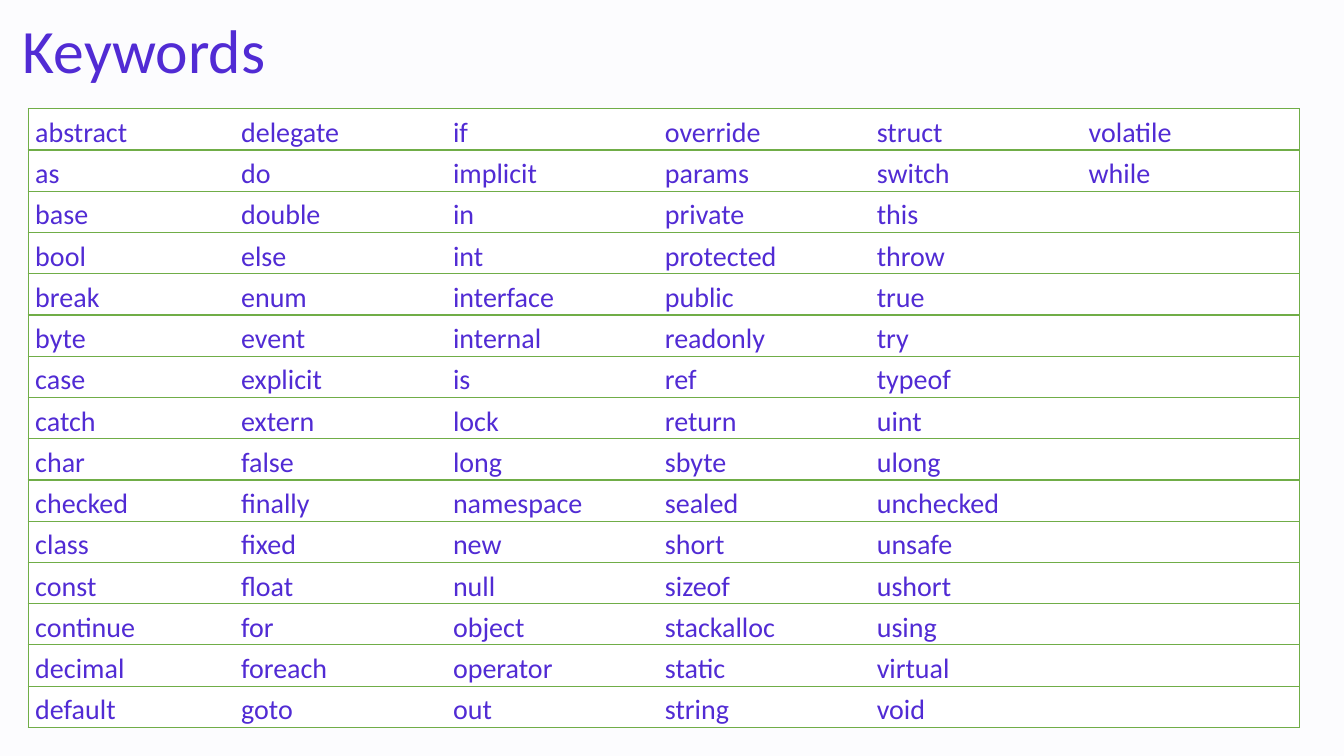
from dataclasses import dataclass

from lxml import etree
from pptx import Presentation
from pptx import util as u
from pptx.dml.color import RGBColor
from pptx.enum import text
from pptx.oxml import ns


@dataclass(frozen=True)
class Theme:
    font: str = "Calibri"
    ink: str = "512BD4"
    rule: str = "70AD47"
    cell: str = "FFFFFF"
    background: str = "FCFCFE"
    title_size: int = 44
    keyword_size: int = 20
    rule_width: int = 1


THEME = Theme()
NO_STYLE = "{2D5ABB26-0587-4C30-8999-92F81FD0307C}"
ROWS, COLS = 15, 6

# Keywords in alphabetical order, filling the table column by column
KEYWORDS = """
abstract as base bool break byte case catch char checked class const continue
decimal default delegate do double else enum event explicit extern false finally
fixed float for foreach goto if implicit in int interface internal is lock long
namespace new null object operator out override params private protected public
readonly ref return sbyte sealed short sizeof stackalloc static string struct
switch this throw true try typeof uint ulong unchecked unsafe ushort using
virtual void volatile while
""".split()


def set_all(obj, values):
    for name, value in values.items():
        setattr(obj, name, value)


def add_text(p, words, size):
    r = p.add_run()
    r.text = words
    set_all(r.font, {"name": THEME.font, "size": u.Pt(size)})
    r.font.color.rgb = RGBColor.from_string(THEME.ink)


def add_title(s, words, left, top, width, height):
    tf = s.shapes.add_textbox(*map(u.Inches, (left, top, width, height))).text_frame
    set_all(tf, {"word_wrap": True, "vertical_anchor": text.MSO_ANCHOR.MIDDLE})
    p = tf.paragraphs[0]
    p.line_spacing = 0.9
    add_text(p, words, THEME.title_size)


def add_border(cell, side):
    tc_pr = cell._tc.get_or_add_tcPr()
    ln = etree.SubElement(tc_pr, ns.qn(f"a:ln{side}"), w=str(u.Pt(THEME.rule_width)))
    fill = etree.SubElement(ln, ns.qn("a:solidFill"))
    etree.SubElement(fill, ns.qn("a:srgbClr"), val=THEME.rule)


def format_cell(cell, col):
    # Only the outer columns have side borders; every row is ruled
    sides = ("L" if col == 0 else "") + ("R" if col == COLS - 1 else "") + "TB"
    for side in sides:
        add_border(cell, side)
    cell.fill.solid()
    cell.fill.fore_color.rgb = RGBColor.from_string(THEME.cell)
    set_all(cell, {
        "margin_left": u.Inches(0.07 if col == 0 else 0.01),
        "margin_top": u.Inches(0.01),
        "margin_right": u.Inches(0.01),
        "margin_bottom": 0,
        "vertical_anchor": text.MSO_ANCHOR.BOTTOM,
    })


def add_keyword_table(s, left, top, width, height):
    frame = s.shapes.add_table(ROWS, COLS, *map(u.Inches, (left, top, width, height)))
    table = frame.table
    set_all(table, {"first_row": False, "horz_banding": False})
    table._tbl.tblPr.find(ns.qn("a:tableStyleId")).text = NO_STYLE
    for column in table.columns:
        column.width = u.Inches(width / COLS)
    for row in table.rows:
        row.height = u.Inches(height / ROWS)
    for i in range(ROWS * COLS):
        col, row = divmod(i, ROWS)
        cell = table.cell(row, col)
        format_cell(cell, col)
        if i < len(KEYWORDS):
            add_text(cell.text_frame.paragraphs[0], KEYWORDS[i], THEME.keyword_size)


def add_keyword_slide(prs):
    s = prs.slides.add_slide(prs.slide_layouts[6])
    s.background.fill.solid()
    s.background.fill.fore_color.rgb = RGBColor.from_string(THEME.background)
    add_title(s, "Keywords", 0.13, 0.28, 12.77, 0.51)
    add_keyword_table(s, 0.28, 1.08, 12.61, 6.14)


def main():
    prs = Presentation()
    set_all(prs, {"slide_width": u.Inches(13.33), "slide_height": u.Inches(7.5)})
    add_keyword_slide(prs)
    prs.save("out.pptx")


if __name__ == "__main__":
    main()
